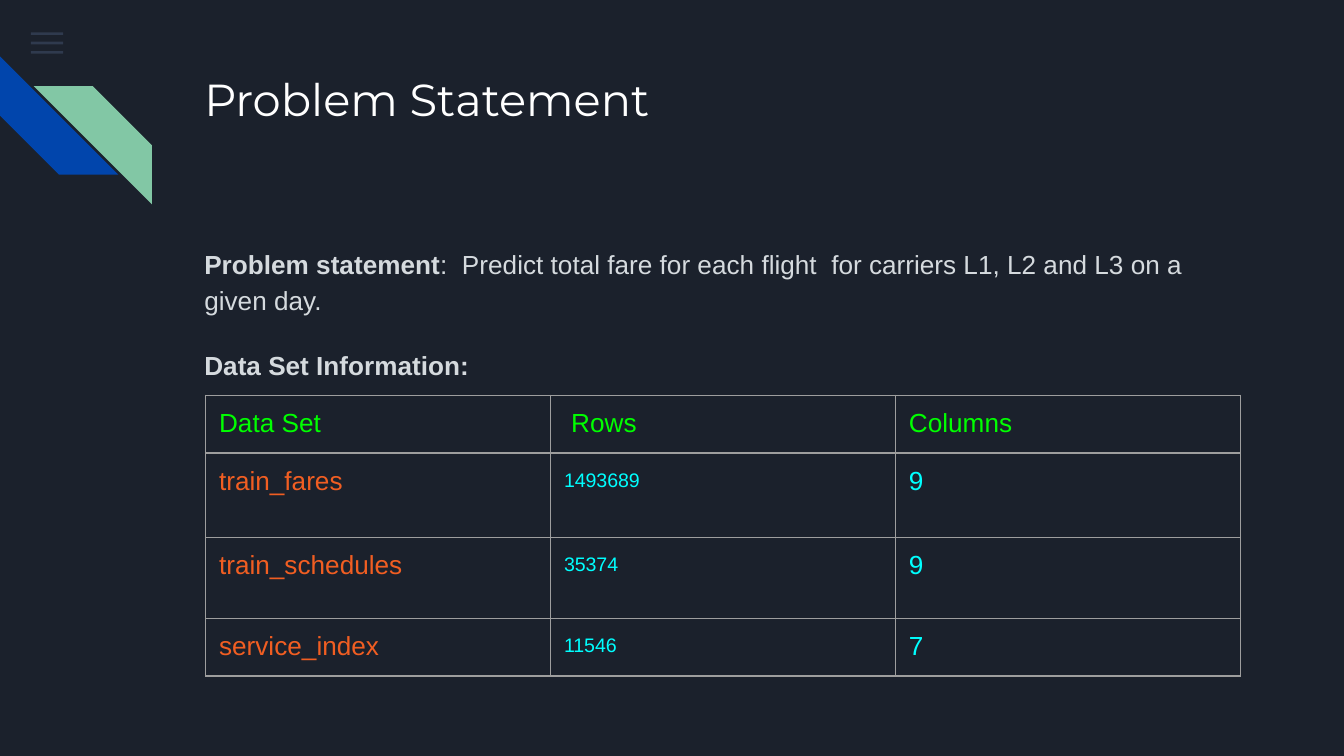
import pptx
import pptx.dml.color
import pptx.enum.shapes
import pptx.enum.text
import pptx.oxml.ns
import pptx.util
from lxml import etree
from pptx.util import Inches

COLORS = {
    "background": "1B212C", "menu": "55688B", "blue": "0145AC", "green": "82C7A5",
    "title": "FFFFFF", "body": "D5DADE", "border": "9E9E9E",
    "header": "00FF00", "name": "F15E22", "value": "00FFFF",
}
TITLE = "Problem Statement"
BODY = [
    [("Problem statement", True),
     (":  Predict total fare for each flight  for carriers L1, L2 and L3 on a given day.", False)],
    [("Data Set Information:", True)],
]
TABLE = [
    ("Data Set", " Rows", "Columns"),
    ("train_fares", "1493689", "9"),
    ("train_schedules", "35374", "9"),
    ("service_index", "11546", "7"),
]
ROW_HEIGHTS = [0.43, 0.63, 0.6, 0.43]
TABLE_WIDTH = 7.7
STRIPES = [(0, 0.42, 270, "blue"), (0.25, 0.64, 90, "green")]


def rgb(name):
    return pptx.dml.color.RGBColor.from_string(COLORS[name])


def add_text(paragraph, text, color, size=14, font="Arial", bold=False):
    run = paragraph.add_run()
    run.text = text
    run.font.name = font
    run.font.size = pptx.util.Pt(size)
    run.font.bold = bold
    run.font.color.rgb = rgb(color)


def add_child(parent, tag, **attributes):
    return etree.SubElement(parent, pptx.oxml.ns.qn(tag), **attributes)


def add_plain_shape(slide, kind, left, top, width, height, color):
    shape = slide.shapes.add_shape(
        kind, Inches(left), Inches(top), Inches(width), Inches(height))
    shape.shadow.inherit = False
    shape.fill.solid()
    shape.fill.fore_color.rgb = rgb(color)
    shape.line.fill.background()
    return shape


def set_margins(target):
    for side in ("left", "right", "top", "bottom"):
        setattr(target, f"margin_{side}", Inches(0.1))


def prepare_placeholder(shape, top, height):
    shape.left, shape.top = Inches(1.42), Inches(top)
    shape.width, shape.height = Inches(7.7), Inches(height)
    frame = shape.text_frame
    set_margins(frame)
    frame.word_wrap = True
    frame.auto_size = pptx.enum.text.MSO_AUTO_SIZE.NONE
    frame.vertical_anchor = pptx.enum.text.MSO_ANCHOR.TOP
    return frame


def add_decoration(slide):
    shapes = pptx.enum.shapes.MSO_SHAPE
    for index in range(3):
        bar = add_plain_shape(slide, shapes.RECTANGLE, 0.23, 0.24 + 0.07 * index,
                              0.24, 0.02, "menu")
        color = bar.element.spPr.find(".//" + pptx.oxml.ns.qn("a:srgbClr"))
        add_child(color, "a:alpha", val="36000")
    for left, top, rotation, color in STRIPES:
        stripe = add_plain_shape(slide, shapes.DIAGONAL_STRIPE, left, top, 0.88, 0.88, color)
        stripe.adjustments[0] = 0.5
        stripe.rotation = rotation


def fill_placeholders(slide):
    title = prepare_placeholder(slide.shapes.title, 0.43, 1).paragraphs[0]
    title.alignment = pptx.enum.text.PP_ALIGN.LEFT
    add_text(title, TITLE, "title", size=24, font="Montserrat")

    frame = prepare_placeholder(slide.placeholders[1], 1.71, 3.18)
    for index, runs in enumerate(BODY):
        paragraph = frame.add_paragraph() if index else frame.paragraphs[0]
        properties = paragraph._p.get_or_add_pPr()
        properties.set("marL", "0")
        properties.set("indent", "0")
        add_child(properties, "a:buNone")
        paragraph.line_spacing = 1.15
        paragraph.space_before = pptx.util.Pt(16 if index else 0)
        for text, bold in runs:
            add_text(paragraph, text, "body", bold=bold)


def format_cell(cell):
    set_margins(cell)
    properties = cell._tc.get_or_add_tcPr()
    for edge in ("L", "R", "T", "B"):
        line = add_child(properties, f"a:ln{edge}", w=str(pptx.util.Pt(0.75)))
        add_child(add_child(line, "a:solidFill"), "a:srgbClr", val=COLORS["border"])
    cell.fill.background()


def add_data_table(slide):
    columns = len(TABLE[0])
    table = slide.shapes.add_table(
        len(TABLE), columns, Inches(1.53), Inches(2.94),
        Inches(TABLE_WIDTH), Inches(sum(ROW_HEIGHTS))).table
    table.first_row = False
    table.horz_banding = False
    for row_index, (height, values) in enumerate(zip(ROW_HEIGHTS, TABLE)):
        table.rows[row_index].height = Inches(height)
        for column_index, text in enumerate(values):
            cell = table.cell(row_index, column_index)
            format_cell(cell)
            paragraph = cell.text_frame.paragraphs[0]
            is_row_count = row_index > 0 and column_index == 1
            if is_row_count:
                paragraph.line_spacing = 1.15
            color = "header" if row_index == 0 else "value" if column_index else "name"
            add_text(paragraph, text, color, size=10.5 if is_row_count else 14)


def main():
    presentation = pptx.Presentation()
    presentation.slide_width = Inches(10)
    presentation.slide_height = Inches(10 * 9 / 16)
    slide = presentation.slides.add_slide(presentation.slide_layouts[1])
    slide.background.fill.solid()
    slide.background.fill.fore_color.rgb = rgb("background")
    add_decoration(slide)
    fill_placeholders(slide)
    add_data_table(slide)
    presentation.save("out.pptx")


if __name__ == "__main__":
    main()
